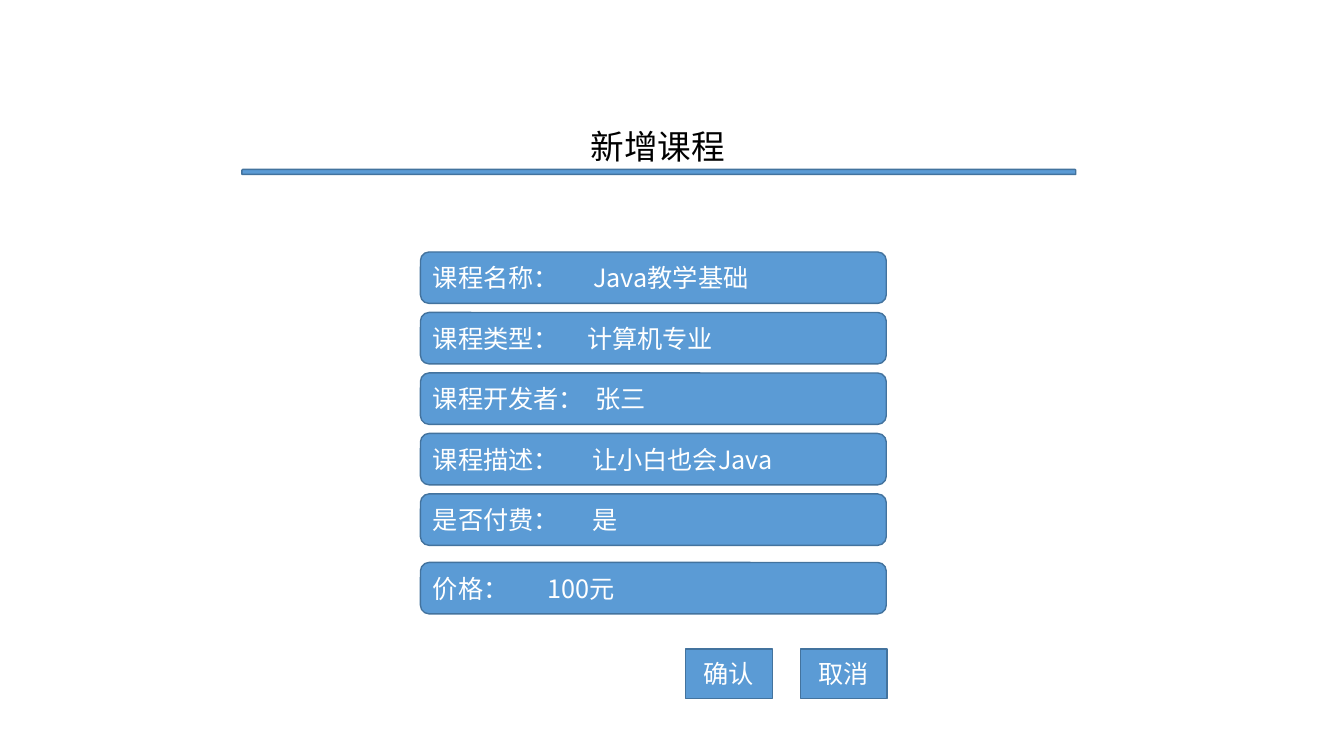
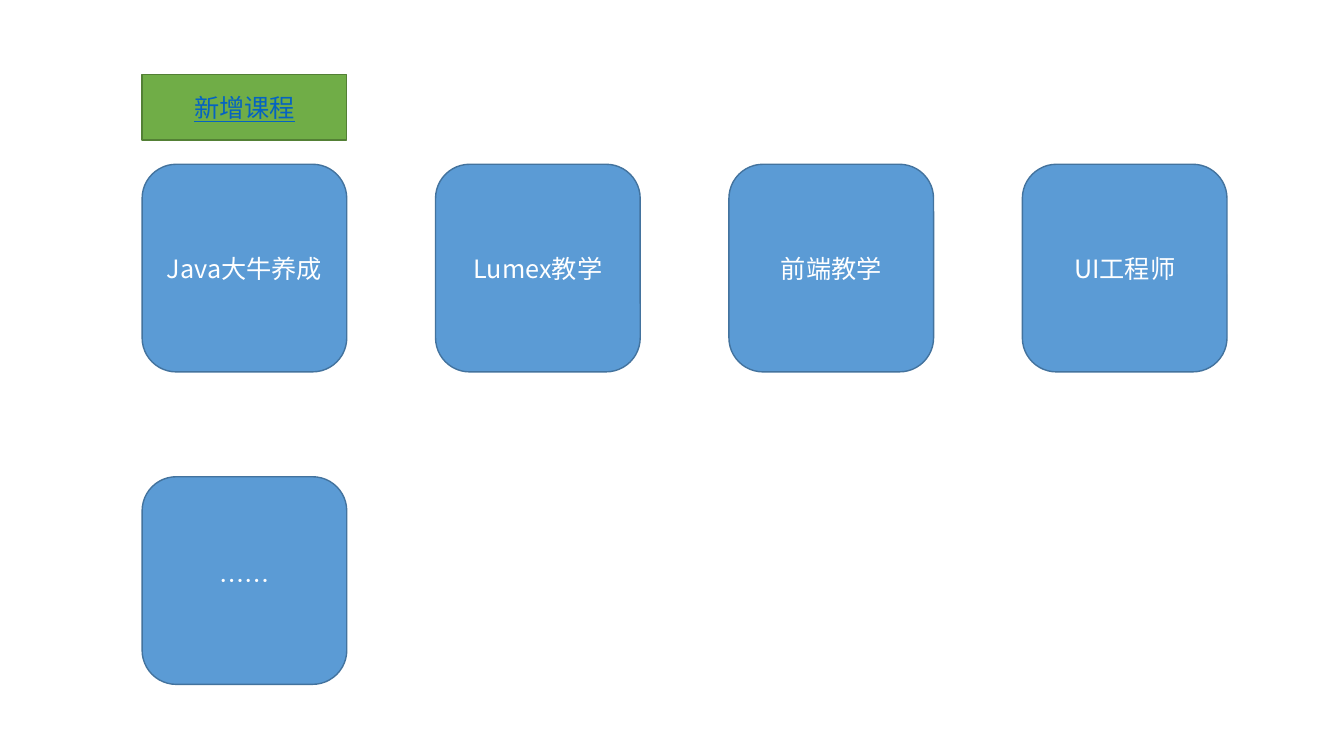
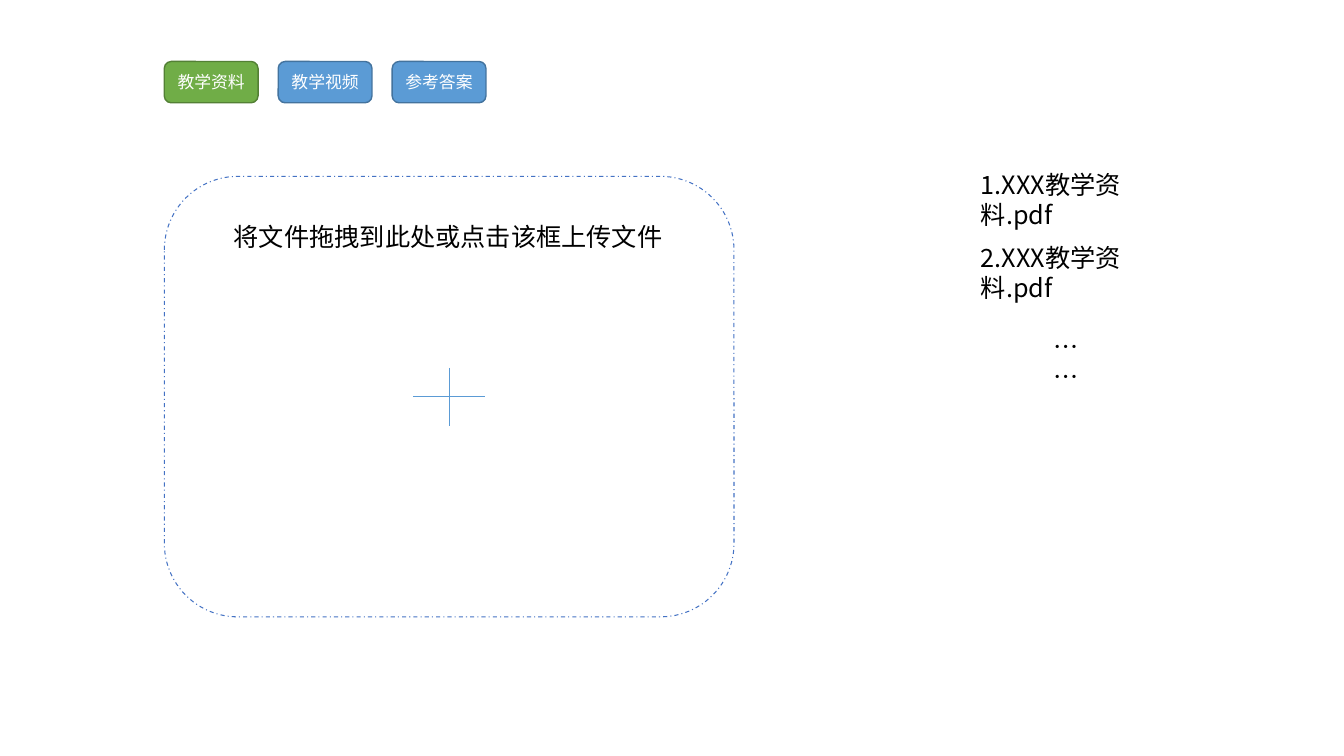
from lxml.etree import SubElement
from pptx import Presentation
from pptx.dml.color import RGBColor
from pptx.enum.dml import MSO_LINE
from pptx.enum.shapes import MSO_CONNECTOR, MSO_SHAPE as SHAPE
from pptx.enum.text import MSO_ANCHOR, PP_ALIGN
from pptx.oxml.ns import qn
from pptx.util import Emu, Pt

PX = 9144  # EMU per px, 100 px to the inch
FONT = "Noto Sans CJK SC"
WHITE, BLACK, LINK = "FFFFFF", "000000", "0563C1"
BLUE, GREEN = ("5B9BD5", "43739E"), ("70AD47", "538035")  # fill, outline
DROP_LINE, PLUS_LINE = "4472C4", "5B9BD5"

# label, value, tab stop of the value
FIELDS = [
    ("课程名称：", "Java教学基础", 159),
    ("课程类型：", "计算机专业", 153),
    ("课程开发者：", "张三", 161),
    ("课程描述：", "让小白也会Java", 158),
    ("是否付费：", "是", 158),
    ("价格：", "100元", 114),
]
BUTTONS = ["确认", "取消"]
COURSES = ["Java大牛养成", "Lumex教学", "前端教学", "UI工程师", "……"]
TABS = [("教学资料", GREEN), ("教学视频", BLUE), ("参考答案", BLUE)]
# text, left, top, width
UPLOAD_TEXTS = [
    ("将文件拖拽到此处或点击该框上传文件", 222, 215, 449),
    ("1.XXX教学资料.pdf", 963, 163, 226),
    ("2.XXX教学资料.pdf", 963, 235, 226),
    ("……", 1035, 324, 56),
]
PLUS = [(446, 365, 446, 423), (410, 393, 481, 393)]


def px(*values):
    return [Emu(v * PX) for v in values]


def rgb(value):
    return RGBColor.from_string(value)


def write(sp, text, color, size=18, align=PP_ALIGN.LEFT, underline=None):
    tf = sp.text_frame
    tf.word_wrap = True
    p = tf.paragraphs[0]
    p.alignment = align
    r = p.add_run()
    r.text = text
    for name, value in dict(name=FONT, size=Pt(size), underline=underline).items():
        setattr(r.font, name, value)
    r.font.color.rgb = rgb(color)
    SubElement(r.font._element, qn("a:ea"), typeface=FONT)
    return p


def add_box(s, box, kind=SHAPE.ROUNDED_RECTANGLE, colors=BLUE):
    sp = s.shapes.add_shape(kind, *px(*box))
    sp.shadow.inherit = False
    fill, line = colors
    if fill:
        sp.fill.solid()
        sp.fill.fore_color.rgb = rgb(fill)
    else:
        sp.fill.background()
    sp.line.color.rgb = rgb(line)
    sp.line.width = Pt(1)
    sp.text_frame.vertical_anchor = MSO_ANCHOR.MIDDLE
    return sp


def add_button(s, box, text, kind=SHAPE.ROUNDED_RECTANGLE, colors=BLUE,
               color=WHITE, **style):
    sp = add_box(s, box, kind, colors)
    write(sp, text, color, align=PP_ALIGN.CENTER, **style)


def add_text(s, box, text, size=18):
    write(s.shapes.add_textbox(*px(*box)), text, BLACK, size)


def add_tab_stop(p, pos):
    tabs = SubElement(p._p.get_or_add_pPr(), qn("a:tabLst"))
    SubElement(tabs, qn("a:tab"), pos=str(pos * PX), algn="l")


def add_line(s, ends):
    c = s.shapes.add_connector(MSO_CONNECTOR.STRAIGHT, *px(*ends))
    c.line.color.rgb = rgb(PLUS_LINE)
    c.line.width = Pt(0.5)
    SubElement(c._element.spPr, qn("a:effectLst"))


def course_form(s):
    add_text(s, (576, 120, 155, 50), "新增课程", 24)
    add_box(s, (240, 168, 827, 5), SHAPE.SNIP_2_SAME_RECTANGLE)
    for i, (label, value, tab) in enumerate(FIELDS):
        extra = 8 if i == len(FIELDS) - 1 else 0
        sp = add_box(s, (417, 250 + 60 * i + extra, 462, 51))
        add_tab_stop(write(sp, f"{label}\t{value}", WHITE), tab)
    for i, text in enumerate(BUTTONS):
        add_button(s, (680 + 114 * i, 644, 86, 49), text, SHAPE.RECTANGLE)


def course_list(s):
    add_button(s, (141, 74, 203, 65), "新增课程", SHAPE.RECTANGLE, GREEN,
               LINK, underline=True)
    for i, text in enumerate(COURSES):
        row, col = divmod(i, 4)
        add_button(s, (141 + 291 * col, 163 + 310 * row, 203, 206), text)


def upload_page(s):
    for i, (text, colors) in enumerate(TABS):
        add_button(s, (163 + 113 * i, 61, 93, 41), text, colors=colors, size=12)
    drop_area = add_box(s, (163, 175, 565, 437), colors=(None, DROP_LINE))
    drop_area.line.width = Pt(0.75)
    drop_area.line.dash_style = MSO_LINE.DASH_DOT
    for ends in PLUS:
        add_line(s, ends)
    for text, left, top, width in UPLOAD_TEXTS:
        add_text(s, (left, top, width, 40), text)


def main():
    prs = Presentation()
    prs.slide_width, prs.slide_height = px(1333, 750)
    for build in (course_form, course_list, upload_page):
        build(prs.slides.add_slide(prs.slide_layouts[6]))
    prs.save("out.pptx")


if __name__ == "__main__":
    main()
